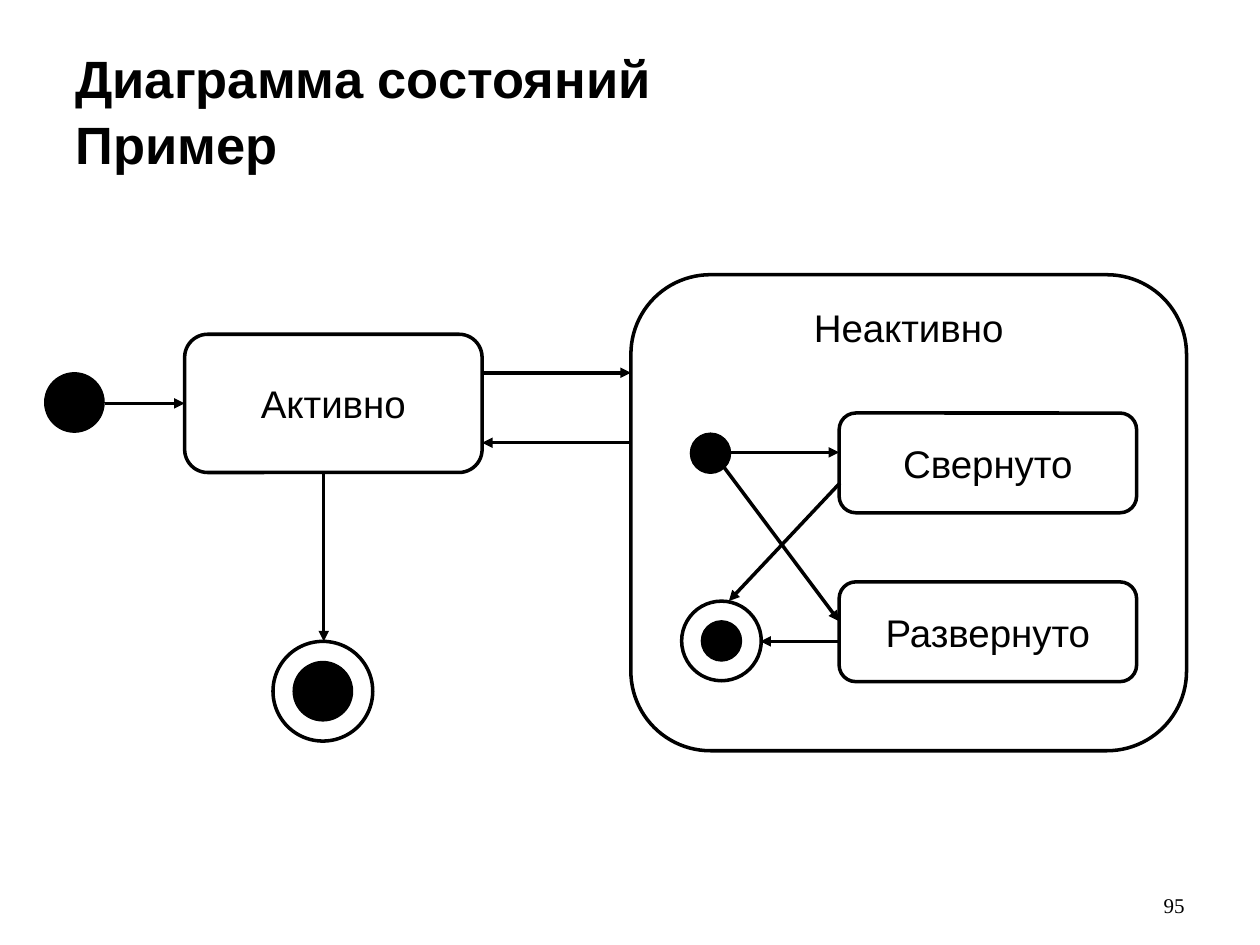
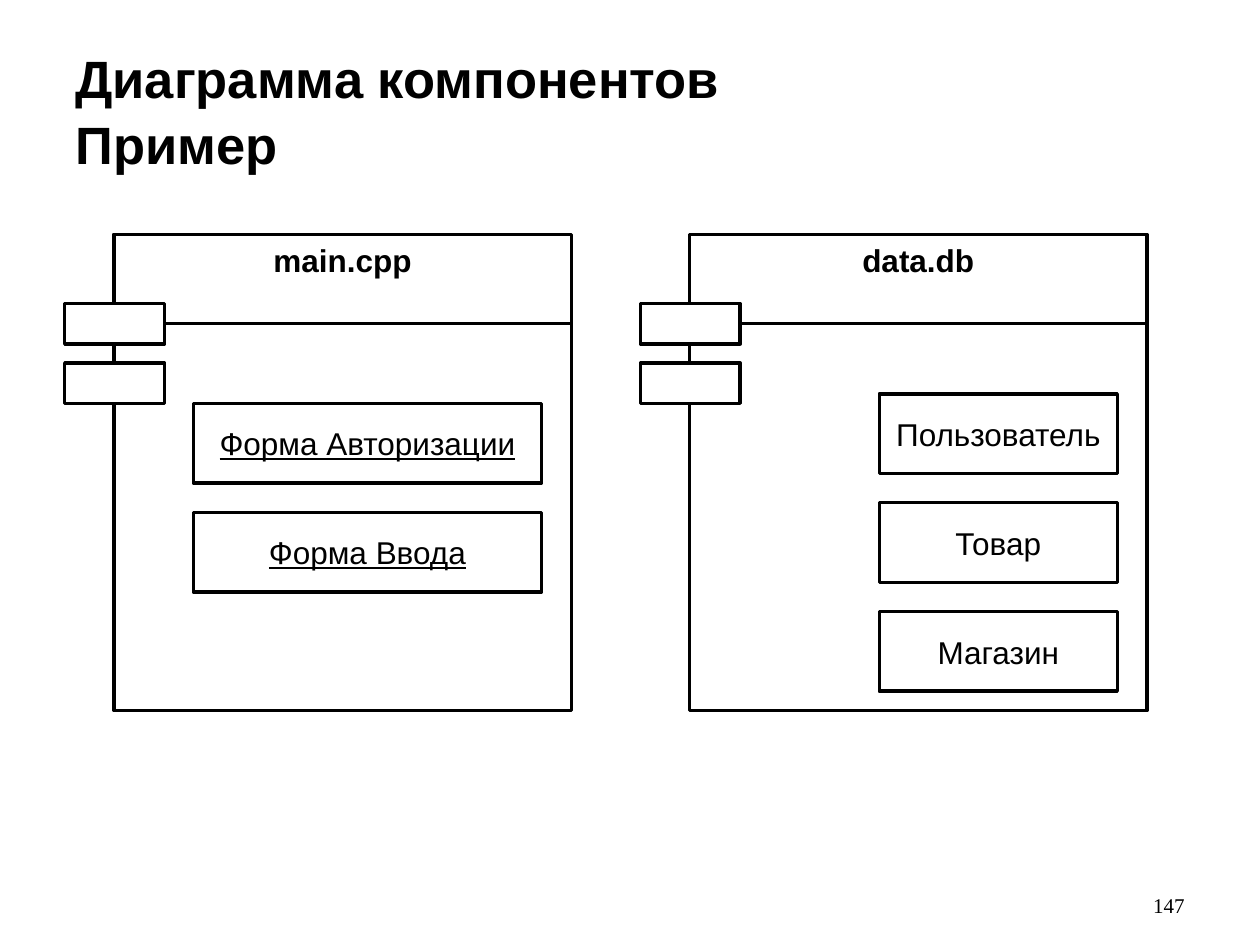
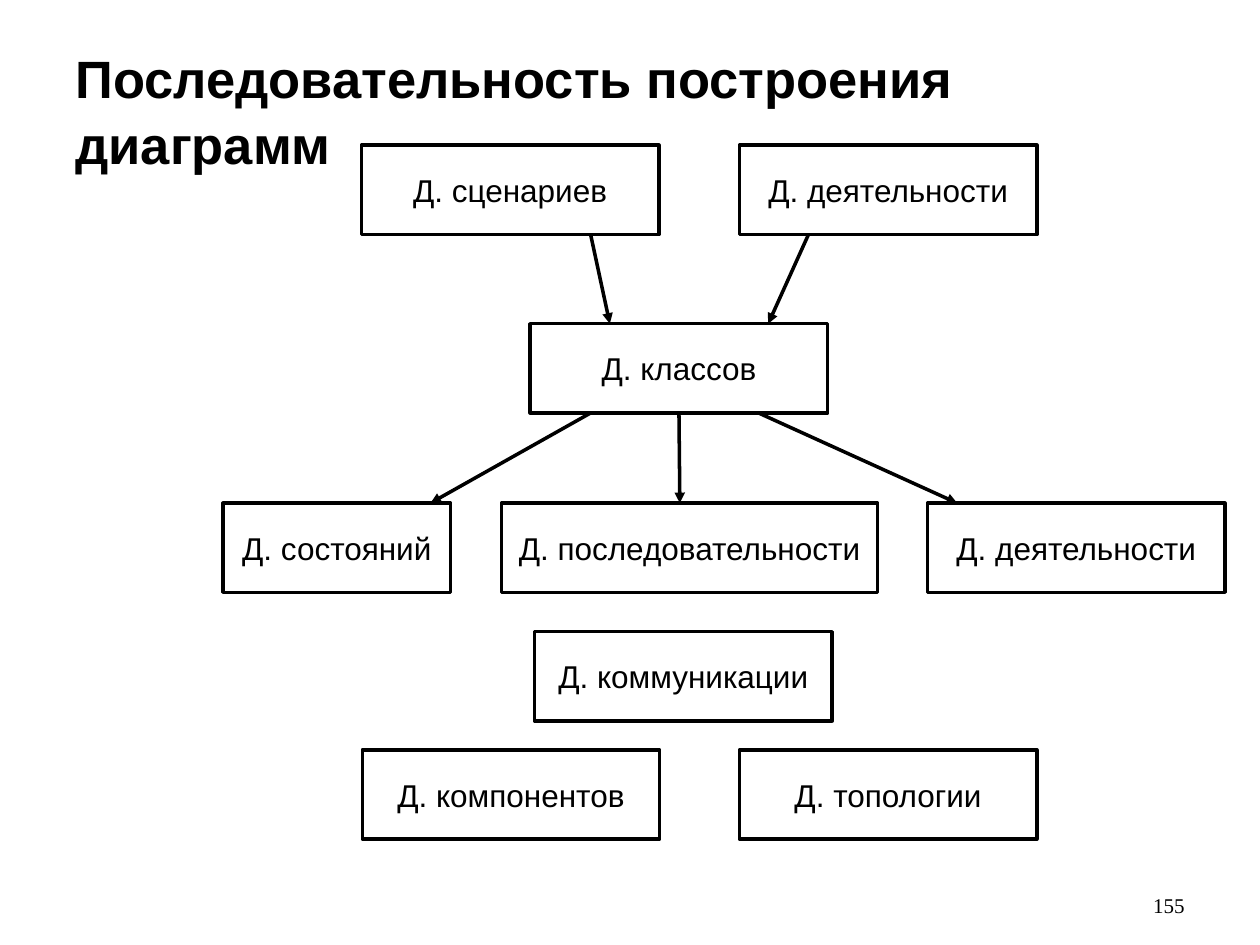
import dataclasses

import lxml.etree
import pptx
import pptx.dml.color
import pptx.enum.shapes
import pptx.enum.text
import pptx.oxml.ns
import pptx.util

Pt = pptx.util.Pt
SHAPES = pptx.enum.shapes.MSO_SHAPE
ANCHOR = pptx.enum.text.MSO_ANCHOR
ALIGN = pptx.enum.text.PP_ALIGN
LEFT_SIDE, BOTTOM_SIDE, RIGHT_SIDE = 1, 2, 3


@dataclasses.dataclass(frozen=True)
class Theme:
    ink: pptx.dml.color.RGBColor = pptx.dml.color.RGBColor(0, 0, 0)
    paper: pptx.dml.color.RGBColor = pptx.dml.color.RGBColor(255, 255, 255)
    font: str = "Arial"
    number_font: str = "Times New Roman"
    title_size: float = 30
    state_size: float = 22
    label_size: float = 18
    number_size: float = 12
    line_width: float = 2
    dot_line_width: float = 0.75
    corner: float = 0.167
    title_spacing: float = 1.04


THEME = Theme()


@dataclasses.dataclass(frozen=True)
class Box:
    """A rectangle in points."""
    left: float
    top: float
    width: float
    height: float

    def inner(self, left, top, width, height):
        return Box(self.left + left, self.top + top, width, height)

    def lengths(self):
        return [Pt(value) for value in dataclasses.astuple(self)]


PAGE = Box(0, 0, 720, 540)
TITLE = Box(36, 21.5, 648, 90)
NUMBER = Box(643.5, 492, 40.5, 36)


# Shared drawing helpers

def write(shape, text, size, font=THEME.font, bold=False, underline=False,
          align=ALIGN.CENTER, anchor=ANCHOR.MIDDLE, wrap=False):
    frame = shape.text_frame
    frame.text = text
    frame.word_wrap = wrap
    frame.vertical_anchor = anchor
    for para in frame.paragraphs:
        para.alignment = align
        for span in para.runs:
            span.font.name = font
            span.font.size = Pt(size)
            span.font.bold = bold
            span.font.underline = underline
            span.font.color.rgb = THEME.ink


def add_outline(page, kind, box, fill=None, width=THEME.line_width):
    shape = page.shapes.add_shape(kind, *box.lengths())
    shape.shadow.inherit = False
    if fill is None:
        shape.fill.background()
    else:
        shape.fill.solid()
        shape.fill.fore_color.rgb = fill
    shape.line.color.rgb = THEME.ink
    shape.line.width = Pt(width)
    return shape


def add_state(page, box, name, anchor=ANCHOR.MIDDLE):
    state = add_outline(page, SHAPES.ROUNDED_RECTANGLE, box)
    state.adjustments[0] = THEME.corner
    write(state, name, THEME.state_size, anchor=anchor)
    return state


def add_label(page, box, name, underline=False):
    label = add_outline(page, SHAPES.RECTANGLE, box)
    write(label, name, THEME.label_size, underline=underline)
    return label


def add_dot(page, box):
    add_outline(page, SHAPES.OVAL, box, THEME.ink, THEME.dot_line_width)


def add_final(page, box, dot_size):
    margin = (box.width - dot_size) / 2
    add_dot(page, box.inner(margin, margin, dot_size, dot_size))
    add_outline(page, SHAPES.OVAL, box)


def add_line(page, area, start, end, arrow=True):
    """Draw a line between two points given relative to the area."""
    points = [Pt(origin + offset) for point in (start, end)
              for origin, offset in zip((area.left, area.top), point)]
    line = page.shapes.add_connector(
        pptx.enum.shapes.MSO_CONNECTOR.STRAIGHT, *points)
    line.line.color.rgb = THEME.ink
    line.line.width = Pt(THEME.line_width)
    qn = pptx.oxml.ns.qn
    properties = line._element.spPr
    if arrow:
        lxml.etree.SubElement(properties.find(qn("a:ln")), qn("a:tailEnd"),
                              type="triangle")
    lxml.etree.SubElement(properties, qn("a:effectLst"))
    return line


def add_page(deck, title, number):
    page = deck.slides.add_slide(deck.slide_layouts[6])
    # Page number
    number_box = page.shapes.add_textbox(*NUMBER.lengths())
    write(number_box, number, THEME.number_size, THEME.number_font,
          align=ALIGN.RIGHT, anchor=ANCHOR.BOTTOM, wrap=True)
    # Title
    title_box = page.shapes.add_textbox(*TITLE.lengths())
    write(title_box, title, THEME.title_size, bold=True,
          align=ALIGN.LEFT, anchor=ANCHOR.TOP, wrap=True)
    title_box.text_frame.paragraphs[0].line_spacing = THEME.title_spacing
    return page


# State diagram

def draw_inactive_state(page, box):
    add_state(page, box, "Неактивно", ANCHOR.TOP)
    for top, name in ((79, "Свернуто"), (175.5, "Развернуто")):
        add_state(page, box.inner(119, top, 170, 57), name)
    add_dot(page, box.inner(34, 90.5, 23, 23))
    add_final(page, box.inner(29, 186.5, 45.5, 45.5), 23)
    for start, end in (
        ((57, 101.5), (119, 101.5)),
        ((51, 107), (119, 198)),
        ((119.5, 119), (56, 186.5)),
        ((119.5, 209.5), (74, 209.5)),
    ):
        add_line(page, box, start, end)


def draw_state_diagram(page, box):
    active = add_state(page, box.inner(80, 34, 170, 79), "Активно")
    draw_inactive_state(page, box.inner(335, 0, 317.5, box.height))
    add_dot(page, box.inner(0, 56, 34, 34))
    add_final(page, box.inner(130.5, 209.5, 57, 57), 34)
    # Transitions
    entry = add_line(page, box, (34.5, 73.5), (80, 73.5))
    entry.end_connect(active, LEFT_SIDE)
    for start, end in (
        ((159.5, 113), (159.5, 209.5)),
        ((250, 56), (335, 56)),
        ((335, 96), (250, 96)),
    ):
        add_line(page, box, start, end)


# Component diagram

def draw_component(page, box, name, parts, part_width, first_top,
                   underline=False):
    body = add_outline(page, SHAPES.RECTANGLE, box)
    write(body, name, THEME.label_size, bold=True, anchor=ANCHOR.TOP)
    # Tabs on the left edge and the header rule
    upper_tab, _ = [
        add_outline(page, SHAPES.RECTANGLE, box.inner(-28, top, 57, 23),
                    THEME.paper)
        for top in (39.5, 73.5)]
    rule = add_line(page, box, (29, 51), (box.width, 51), arrow=False)
    rule.begin_connect(upper_tab, RIGHT_SIDE)
    # Parts in one column against the right margin
    left = box.width - 17 - part_width
    for row, part in enumerate(parts):
        add_label(page, box.inner(left, first_top + 62.25 * row,
                                  part_width, 45.5), part, underline)


def draw_component_diagram(page, box):
    draw_component(page, box.inner(0, 0, 261.5, box.height), "main.cpp",
                   ["Форма Авторизации", "Форма Ввода"], 199, 96.5, True)
    draw_component(page, box.inner(329, 0, 261.5, box.height), "data.db",
                   ["Пользователь", "Товар", "Магазин"], 136, 91)


# Order of diagrams

def draw_diagram_order(page, box):
    height = 51
    labels = {}
    for key, left, top, width, name in (
        ("scenarios", 79, 0, 170, "Д. сценариев"),
        ("early activity", 295, 0, 170, "Д. деятельности"),
        ("classes", 175.5, 102, 170, "Д. классов"),
        ("states", 0, 204.5, 130, "Д. состояний"),
        ("sequence", 159, 204.5, 215, "Д. последовательности"),
        ("late activity", 402.5, 204.5, 170, "Д. деятельности"),
        ("communication", 178, 278, 170, "Д. коммуникации"),
        ("components", 79.5, 345.5, 170, "Д. компонентов"),
        ("topology", 295, 345.5, 170, "Д. топологии"),
    ):
        labels[key] = add_label(page, box.inner(left, top, width, height),
                                name)
    # Arrows into and out of the class diagram
    for start, end in (
        ((210, 51), (221, 102)),
        ((334.5, 51), (311.5, 102)),
        ((210, 153), (118.5, 204.5)),
        ((306, 153), (419.5, 204.5)),
    ):
        add_line(page, box, start, end)
    middle = add_line(page, box, (260.5, 153), (261, 204.5))
    middle.begin_connect(labels["classes"], BOTTOM_SIDE)


def main():
    deck = pptx.Presentation()
    deck.slide_width, deck.slide_height = Pt(PAGE.width), Pt(PAGE.height)
    for title, number, draw, box in (
        ("Диаграмма состояний\vПример", "95",
         draw_state_diagram, Box(25.5, 157, 652.5, 272)),
        ("Диаграмма компонентов\vПример", "147",
         draw_component_diagram, Box(65, 134, 590.5, 272)),
        ("Последовательность построения диаграмм", "155",
         draw_diagram_order, Box(127.5, 83, 572.5, 396.5)),
    ):
        draw(add_page(deck, title, number), box)
    deck.save("out.pptx")


if __name__ == "__main__":
    main()
